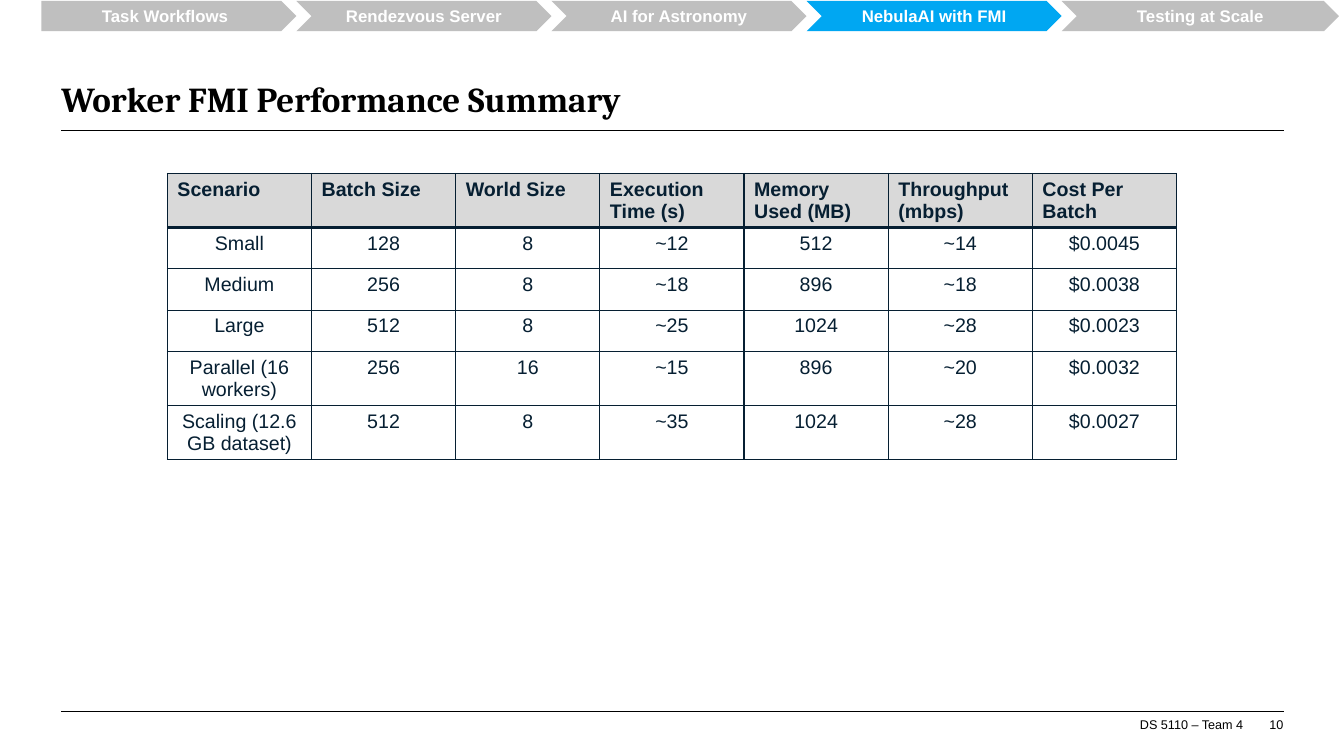
from lxml.etree import SubElement
from pptx import Presentation
from pptx.dml.color import RGBColor
from pptx.enum.shapes import MSO_CONNECTOR, MSO_SHAPE
from pptx.enum.text import MSO_ANCHOR, PP_ALIGN
from pptx.oxml.ns import qn
from pptx.util import Inches, Pt

BLACK = RGBColor(0x00, 0x00, 0x00)
WHITE = RGBColor(0xFF, 0xFF, 0xFF)
GRAY = RGBColor(0xBF, 0xBF, 0xBF)
BLUE = RGBColor(0x00, 0xA7, 0xF2)
NAVY = RGBColor(0x06, 0x1F, 0x32)
HEADER_GRAY = RGBColor(0xD9, 0xD9, 0xD9)

MARGIN, RIGHT_EDGE = 0.61, 12.73
CONTENT_WIDTH = RIGHT_EDGE - MARGIN


def style_paragraph(paragraph, size, color, bold=False, alignment=PP_ALIGN.LEFT, font_name="Arial"):
    paragraph.alignment = alignment
    paragraph.font.name = font_name
    paragraph.font.size = Pt(size)
    paragraph.font.bold = bold
    paragraph.font.color.rgb = color


def set_borders(cell, top_width, bottom_width):
    properties = cell._tc.get_or_add_tcPr()
    widths = {"a:lnL": 1, "a:lnR": 1, "a:lnT": top_width, "a:lnB": bottom_width}
    for position, (tag, width) in enumerate(widths.items()):
        line = SubElement(properties, qn(tag), w=str(Pt(width)))
        fill = SubElement(line, qn("a:solidFill"))
        SubElement(fill, qn("a:srgbClr"), val=str(NAVY))
        properties.insert(position, line)  # borders come before the cell fill


presentation = Presentation()
presentation.slide_width = Inches(13.33)
presentation.slide_height = Inches(7.5)
slide = presentation.slides.add_slide(presentation.slide_layouts[6])

# Rules below the title and above the footer
for top in (1.29, 7.06):
    rule = slide.shapes.add_connector(
        MSO_CONNECTOR.STRAIGHT, Inches(MARGIN), Inches(top), Inches(RIGHT_EDGE), Inches(top))
    rule.line.color.rgb = BLACK
    rule.line.width = Pt(0.5)
    SubElement(rule._element.spPr, qn("a:effectLst"))

# Title, footer and slide number
texts = [
    ("Worker FMI Performance Summary", MARGIN, 0.39, CONTENT_WIDTH, 0.8,
     (25, BLACK, True, PP_ALIGN.LEFT, "Cambria")),
    ("DS 5110 – Team 4", 11.27, 7.11, 1.06, 0.15, (9, BLACK, False, PP_ALIGN.RIGHT)),
    ("10", 12.37, 7.11, 0.36, 0.15, (9, BLACK, False, PP_ALIGN.RIGHT)),
]
for text, left, top, width, height, style in texts:
    box = slide.shapes.add_textbox(Inches(left), Inches(top), Inches(width), Inches(height))
    frame = box.text_frame
    frame.word_wrap = True
    frame.vertical_anchor = MSO_ANCHOR.BOTTOM
    frame.margin_left = frame.margin_right = frame.margin_top = frame.margin_bottom = 0
    frame.text = text
    style_paragraph(frame.paragraphs[0], *style)

# Progress bar of sections
SECTIONS = ["Task Workflows", "Rendezvous Server", "AI for Astronomy",
            "NebulaAI with FMI", "Testing at Scale"]
CURRENT_SECTION = 3
SECTION_LEFT, SECTION_STEP, LAST_WIDTH = 0.41, 2.53, 2.75
for index, section in enumerate(SECTIONS):
    outline = MSO_SHAPE.PENTAGON if index == 0 else MSO_SHAPE.CHEVRON
    width = LAST_WIDTH if index == len(SECTIONS) - 1 else SECTION_STEP
    arrow = slide.shapes.add_shape(
        outline, Inches(SECTION_LEFT + index * SECTION_STEP), Inches(0.01),
        Inches(width), Inches(0.3))
    arrow.shadow.inherit = False
    arrow.fill.solid()
    arrow.fill.fore_color.rgb = BLUE if index == CURRENT_SECTION else GRAY
    arrow.line.fill.background()
    frame = arrow.text_frame
    frame.word_wrap = True
    frame.vertical_anchor = MSO_ANCHOR.MIDDLE
    frame.text = section
    paragraph = frame.paragraphs[0]
    paragraph.space_before = paragraph.space_after = Pt(3)
    style_paragraph(paragraph, 12, WHITE, True, PP_ALIGN.CENTER)

# Performance table
ROWS = [
    ["Scenario", "Batch Size", "World Size", "Execution Time (s)",
     "Memory Used (MB)", "Throughput (mbps)", "Cost Per Batch"],
    ["Small", "128", "8", "~12", "512", "~14", "$0.0045"],
    ["Medium", "256", "8", "~18", "896", "~18", "$0.0038"],
    ["Large", "512", "8", "~25", "1024", "~28", "$0.0023"],
    ["Parallel (16 workers)", "256", "16", "~15", "896", "~20", "$0.0032"],
    ["Scaling (12.6 GB dataset)", "512", "8", "~35", "1024", "~28", "$0.0027"],
]
ROW_HEIGHT, TABLE_WIDTH = 0.41, 10.01
table = slide.shapes.add_table(
    len(ROWS), len(ROWS[0]), Inches(1.66), Inches(1.72),
    Inches(TABLE_WIDTH), Inches(ROW_HEIGHT * len(ROWS))).table
for row_index, row in enumerate(ROWS):
    is_header = row_index == 0
    for column_index, text in enumerate(row):
        cell = table.cell(row_index, column_index)
        cell.text = text
        cell.margin_bottom = Inches(0.02)
        cell.fill.solid()
        cell.fill.fore_color.rgb = HEADER_GRAY if is_header else WHITE
        alignment = PP_ALIGN.LEFT if is_header else PP_ALIGN.CENTER
        style_paragraph(cell.text_frame.paragraphs[0], 14, NAVY, is_header, alignment)
        # The thick line is shared by the header and the first data row
        set_borders(cell, 3 if row_index == 1 else 1, 3 if is_header else 1)

presentation.save("out.pptx")
